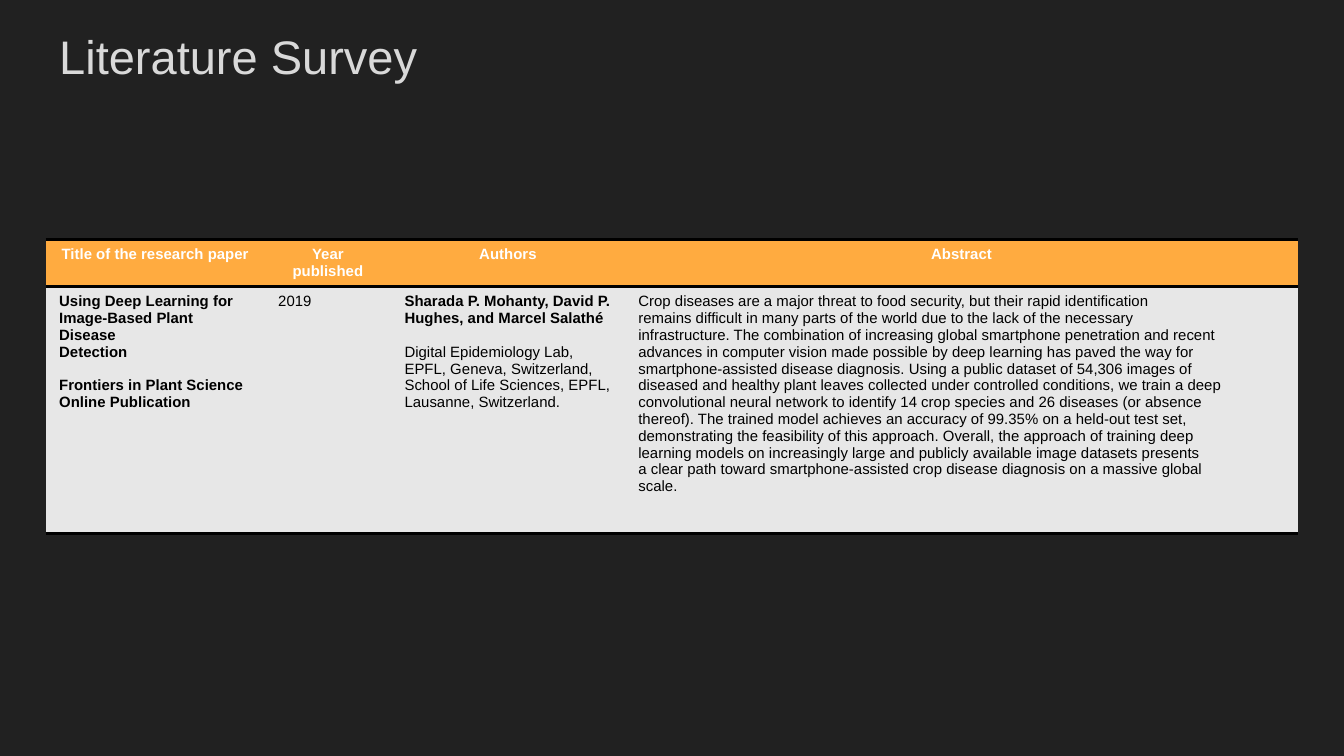
from lxml import etree
from pptx import Presentation
from pptx.dml.color import RGBColor
from pptx.enum.text import MSO_ANCHOR, MSO_AUTO_SIZE, PP_ALIGN
from pptx.oxml.ns import qn
from pptx.util import Inches, Pt

LEFT, CENTER, JUSTIFY = PP_ALIGN.LEFT, PP_ALIGN.CENTER, PP_ALIGN.JUSTIFY
MIDDLE, NO_FIT = MSO_ANCHOR.MIDDLE, MSO_AUTO_SIZE.NONE
PLAIN_STYLE = "{2D5ABB26-0587-4C30-8999-92F81FD0307C}"

WIDTH = 10
HEIGHT = WIDTH * 9 / 16
SIDE = 0.34
SPAN = WIDTH - 2 * SIDE
TOP = 1.78
ROWS = [0.34, 1.84]
SIZE, GAP, RULE = 8, 9, 2

TITLE = "Literature Survey"
# Each column: heading, width, alignment, blocks of (bold, lines)
COLUMNS = [
    ("Title of the research paper", 1.63, LEFT, [
        (True, ["Using Deep Learning for", "Image-Based Plant Disease",
                "Detection"]),
        (True, ["Frontiers in Plant Science Online Publication"])]),
    ("Year published", 0.94, LEFT, [(False, ["2019"])]),
    ("Authors", 1.74, LEFT, [
        (True, ["Sharada P. Mohanty, David P. Hughes, and Marcel Salathé"]),
        (False, ["Digital Epidemiology Lab, EPFL, Geneva, Switzerland, "
                 "School of Life Sciences, EPFL, Lausanne, Switzerland."])]),
    ("Abstract", 5.01, JUSTIFY, [(False, [
        "Crop diseases are a major threat to food security, but their rapid identification",
        "remains difficult in many parts of the world due to the lack of the necessary",
        "infrastructure. The combination of increasing global smartphone penetration and recent",
        "advances in computer vision made possible by deep learning has paved the way for",
        "smartphone-assisted disease diagnosis. Using a public dataset of 54,306 images of",
        "diseased and healthy plant leaves collected under controlled conditions, we train a deep",
        "convolutional neural network to identify 14 crop species and 26 diseases (or absence",
        "thereof). The trained model achieves an accuracy of 99.35% on a held-out test set,",
        "demonstrating the feasibility of this approach. Overall, the approach of training deep",
        "learning models on increasingly large and publicly available image datasets presents",
        "a clear path toward smartphone-assisted crop disease diagnosis on a massive global",
        "scale."])]),
]


def paint(fill, color):
    """Make a fill solid in a hex colour."""
    fill.solid()
    fill.fore_color.rgb = RGBColor.from_string(color)


def write(frame, blocks, size=SIZE, color="000000", align=LEFT):
    """Fill a text frame with blocks of lines, spaced apart by a gap."""
    para = None
    for num, (bold, lines) in enumerate(blocks):
        for row, line in enumerate(lines):
            para = frame.add_paragraph() if para else frame.paragraphs[0]
            para.alignment = align
            para.space_before = Pt(GAP if num and not row else 0)
            run = para.add_run()
            run.text = line
            font = run.font
            font.name, font.size, font.bold = "Arial", Pt(size), bold
            font.color.rgb = RGBColor.from_string(color)


def rule(cell, sides, color="000000"):
    """Draw border lines on the named sides of a cell."""
    props = cell._tc.get_or_add_tcPr()
    for num, side in enumerate(sides):
        line = etree.Element(qn("a:" + side), w=str(Pt(RULE)))
        fill = etree.SubElement(line, qn("a:solidFill"))
        etree.SubElement(fill, qn("a:srgbClr"), val=color)
        props.insert(num, line)


deck = Presentation()
deck.slide_width, deck.slide_height = Inches(WIDTH), Inches(HEIGHT)
slide = deck.slides.add_slide(deck.slide_layouts[5])
paint(slide.background.fill, "212121")

title = slide.shapes.title
title.left, title.top = Inches(SIDE), Inches(0.1)
title.width, title.height = Inches(SPAN), Inches(0.63)
frame = title.text_frame
frame.margin_left = frame.margin_right = Inches(0.1)
frame.margin_top = frame.margin_bottom = Inches(0.1)
frame.auto_size, frame.vertical_anchor = NO_FIT, MIDDLE
write(frame, [(False, [TITLE])], size=25.2, color="D9D9D9")

table = slide.shapes.add_table(
    len(ROWS), len(COLUMNS), Inches(SIDE), Inches(TOP),
    Inches(SPAN), Inches(sum(ROWS))).table
table.horz_banding = False
table._tbl.tblPr.find(qn("a:tableStyleId")).text = PLAIN_STYLE
for row, tall in zip(table.rows, ROWS):
    row.height = Inches(tall)
for col, (head, wide, align, blocks) in enumerate(COLUMNS):
    table.columns[col].width = Inches(wide)
    top, body = table.cell(0, col), table.cell(1, col)
    paint(top.fill, "FFAB40")
    paint(body.fill, "E7E7E7")
    write(top.text_frame, [(True, [head])], color="FFFFFF", align=CENTER)
    write(body.text_frame, blocks, align=align)
    for cell in (top, body):
        rule(cell, ["lnT", "lnB"])

deck.save("out.pptx")
